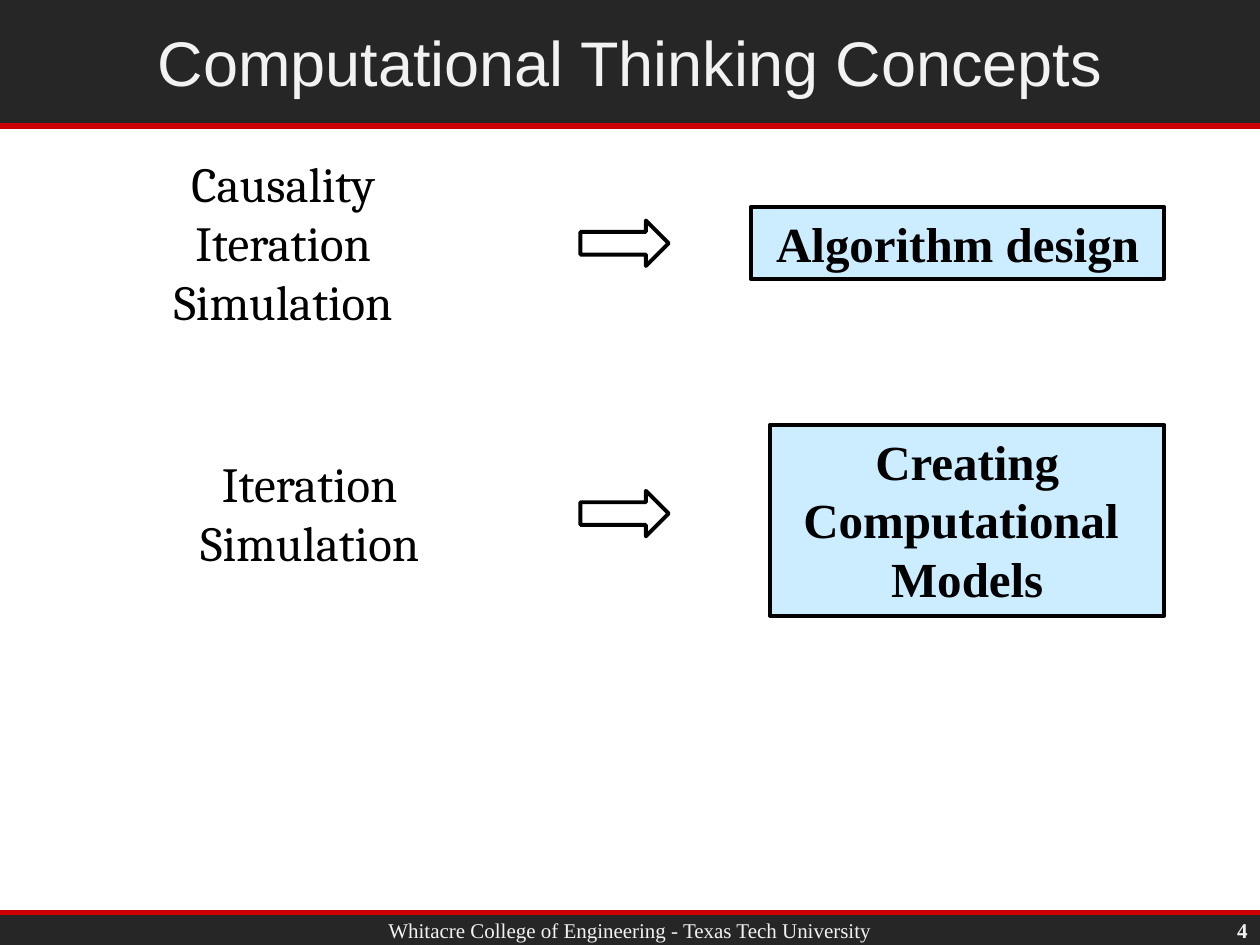
from dataclasses import dataclass

from lxml import etree
from pptx import Presentation
from pptx.dml.color import RGBColor
from pptx.enum.shapes import MSO_CONNECTOR, MSO_SHAPE
from pptx.enum.text import MSO_ANCHOR, PP_ALIGN
from pptx.oxml.ns import qn
from pptx.util import Pt

RECT, ARROW = MSO_SHAPE.RECTANGLE, MSO_SHAPE.RIGHT_ARROW
STRAIGHT = MSO_CONNECTOR.STRAIGHT
TOP, MIDDLE = MSO_ANCHOR.TOP, MSO_ANCHOR.MIDDLE
CENTER, RIGHT = PP_ALIGN.CENTER, PP_ALIGN.RIGHT

WIDE, HIGH = 720, 540
HEAD, FOOT = 72, 521.3
DARK, RED, PALE, BLUE, BLACK = "262626", "CC0000", "F2F2F2", "CCECFF", "000000"

TITLE = {"name": "Arial", "size": Pt(36), "color": PALE}
SMALL = {"name": "Times New Roman", "size": Pt(12), "color": PALE}
PAGE = {**SMALL, "bold": True}
TERM = {"name": "Cambria", "size": Pt(28), "color": BLACK}
GOAL = {"name": "Times New Roman", "size": Pt(28), "bold": True, "color": BLACK}


@dataclass
class Area:
    left: float
    top: float
    width: float
    height: float

    def points(self) -> tuple:
        return Pt(self.left), Pt(self.top), Pt(self.width), Pt(self.height)


@dataclass
class Row:
    terms: list[str]
    terms_at: Area
    arrow_top: float
    goal: list[str]
    goal_at: Area


def tint(code: str) -> RGBColor:
    return RGBColor.from_string(code)


def write(shape, lines: list[str], style: dict, align=CENTER, anchor=TOP) -> None:
    frame = shape.text_frame
    frame.word_wrap = True
    frame.vertical_anchor = anchor
    for i, line in enumerate(lines):
        para = frame.add_paragraph() if i else frame.paragraphs[0]
        para.alignment = align
        run = para.add_run()
        run.text = line
        for key, value in style.items():
            if key == "color":
                run.font.color.rgb = tint(value)
            else:
                setattr(run.font, key, value)


def label(slide, area: Area, lines: list[str], style: dict, **place) -> None:
    write(slide.shapes.add_textbox(*area.points()), lines, style, **place)


def block(slide, kind, area: Area, fill: str = "", edge: str = ""):
    shape = slide.shapes.add_shape(kind, *area.points())
    shape.shadow.inherit = False
    if fill:
        shape.fill.solid()
        shape.fill.fore_color.rgb = tint(fill)
    else:
        shape.fill.background()
    if edge:
        shape.line.color.rgb = tint(edge)
        shape.line.width = Pt(2.25)
    else:
        shape.line.fill.background()
    return shape


def band(slide, area: Area, edge: float) -> None:
    block(slide, RECT, area, DARK)
    rule = slide.shapes.add_connector(STRAIGHT, 0, Pt(edge), Pt(WIDE), Pt(edge))
    rule.line.color.rgb = tint(RED)
    rule.line.width = Pt(3)
    etree.SubElement(rule._element.spPr, qn("a:effectLst"))


def draw_row(slide, row: Row) -> None:
    label(slide, row.terms_at, row.terms, TERM)
    block(slide, ARROW, Area(331.7, row.arrow_top, 50.4, 26), edge=BLACK)
    write(block(slide, RECT, row.goal_at, BLUE, BLACK), row.goal, GOAL)


ROWS = [
    Row(["Causality", "Iteration", "Simulation"], Area(24.3, 84.4, 275, 109),
        126, ["Algorithm design"], Area(429, 118.2, 236.4, 41.2)),
    # The space after "Computational" keeps that line off centre
    Row(["Iteration", "Simulation"], Area(15, 255.6, 324, 75),
        280.5, ["Creating Computational ", "Models"], Area(440, 242.8, 225.4, 109)),
]


def main() -> None:
    deck = Presentation()
    deck.slide_width, deck.slide_height = Pt(WIDE), Pt(HIGH)
    slide = deck.slides.add_slide(deck.slide_layouts[6])

    # Footer
    band(slide, Area(0, FOOT, WIDE, HIGH - FOOT), FOOT)
    label(slide, Area(72.5, 520.9, 575, 21.6),
          ["Whitacre College of Engineering - Texas Tech University"],
          SMALL, anchor=MIDDLE)
    label(slide, Area(668, 522.2, 52, 18.7), ["4"], PAGE, align=RIGHT, anchor=MIDDLE)

    # Title
    band(slide, Area(0, 0, WIDE, HEAD), HEAD)
    label(slide, Area(72.5, 3, 575, 64), ["Computational Thinking Concepts"],
          TITLE, anchor=MIDDLE)

    # Concepts and what they lead to
    for row in ROWS:
        draw_row(slide, row)

    deck.save("out.pptx")


if __name__ == "__main__":
    main()
